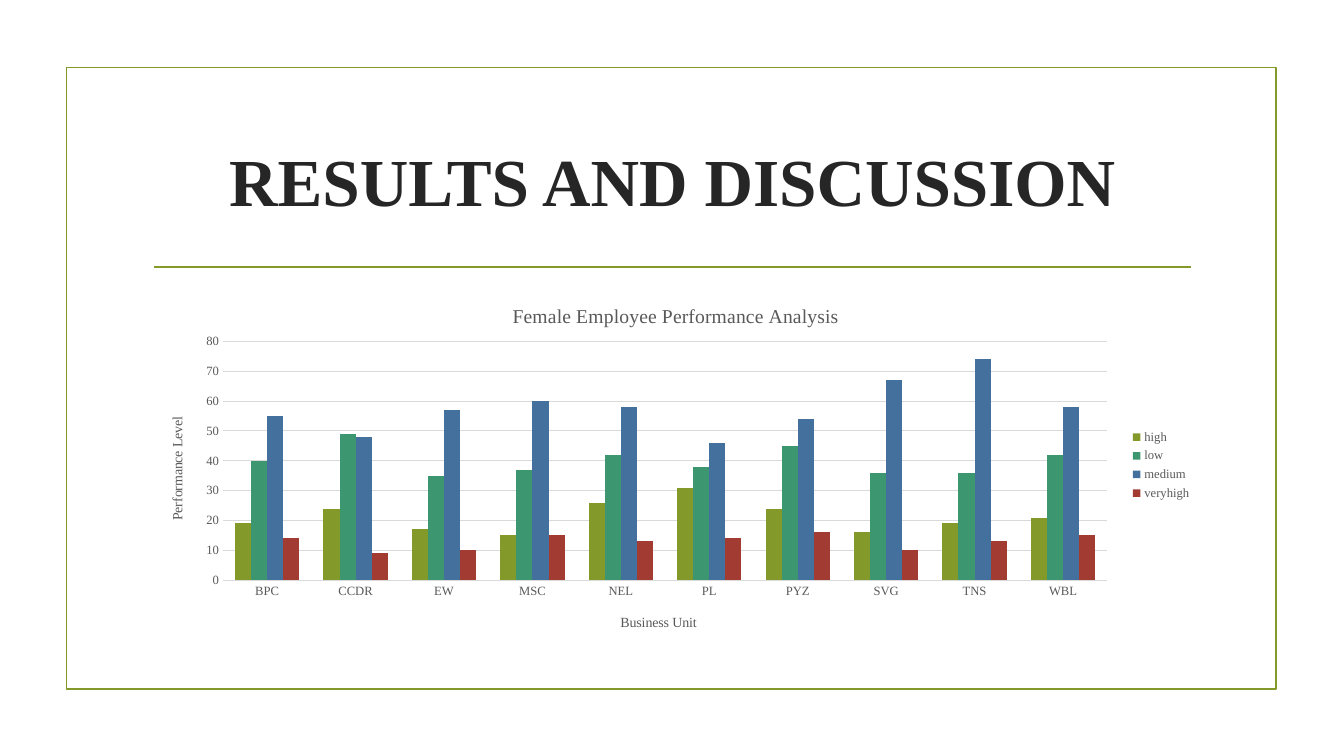
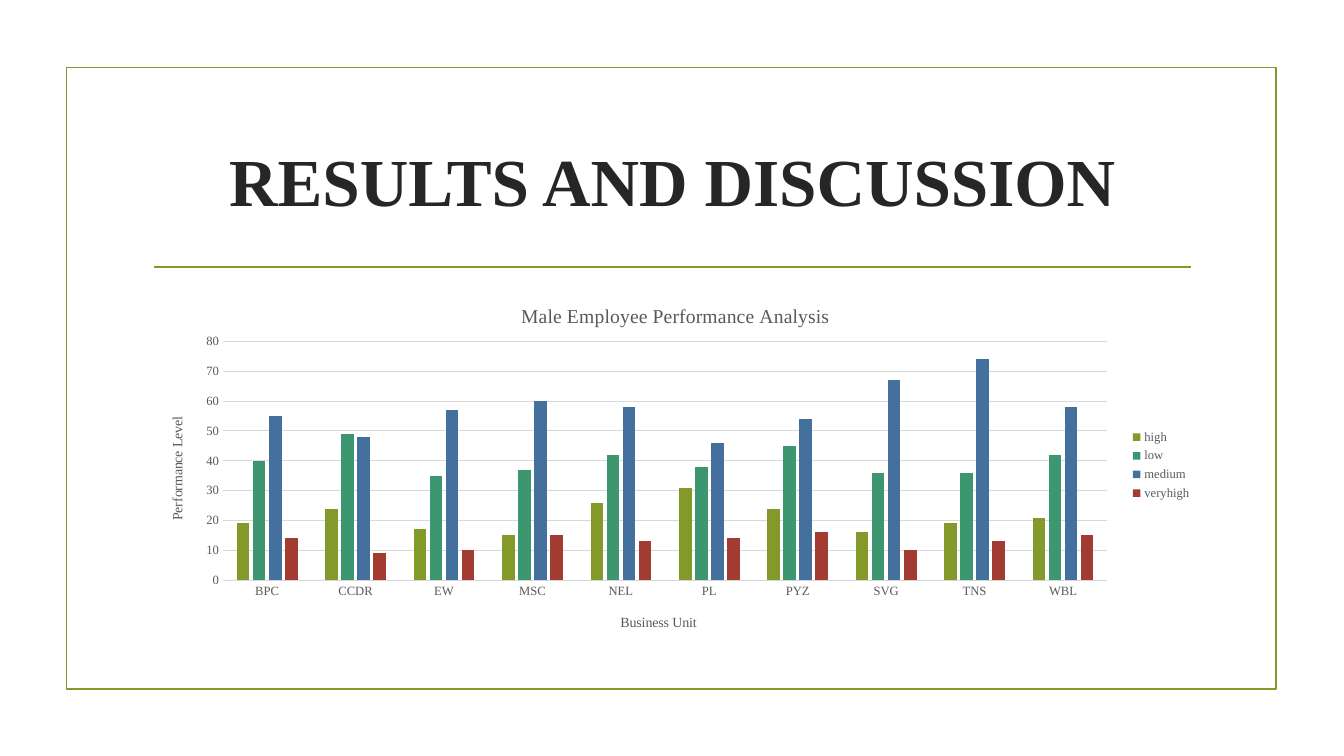
from lxml.etree import SubElement
from pptx import Presentation
from pptx.chart.data import CategoryChartData
from pptx.dml.color import RGBColor
from pptx.enum.chart import XL_CHART_TYPE, XL_LEGEND_POSITION, XL_TICK_MARK
from pptx.enum.shapes import MSO_CONNECTOR, MSO_SHAPE
from pptx.enum.text import MSO_ANCHOR, PP_ALIGN
from pptx.oxml.ns import qn
from pptx.util import Inches, Pt

WIDTH, HEIGHT = Inches(13.33), Inches(7.5)
FONT = "Times New Roman"
COLORS = {
    "accent": "83992A",
    "heading": "262626",
    "label": "595959",
    "grid": "D9D9D9",
    "high": "83992A",
    "low": "3C9770",
    "medium": "44709D",
    "veryhigh": "A23C33",
}

FRAME = (4.95, 8.93, 90, 82.27)
RULE = (11.48, 35.33, 88.6, 35.33)
HEADING = (10.65, 14.27, 78.77, 19.07)
CHART = (10.65, 37.33, 78.77, 48.4)
PLOT = (16.59, 45.17, 65.8, 31.6)
UNIT_TITLE = (45.98, 80.75)
LEVEL_TITLE = (12.31, 54.76)
CHART_TITLE_TOP = 39.6

UNITS = ["BPC", "CCDR", "EW", "MSC", "NEL", "PL", "PYZ", "SVG", "TNS", "WBL"]
PERFORMANCE = {
    "high": [19, 24, 17, 15, 26, 31, 24, 16, 19, 21],
    "low": [40, 49, 35, 37, 42, 38, 45, 36, 36, 42],
    "medium": [55, 48, 57, 60, 58, 46, 54, 67, 74, 58],
    "veryhigh": [14, 9, 10, 15, 13, 14, 16, 10, 13, 15],
}


def color(name):
    """Return the named palette colour."""
    return RGBColor.from_string(COLORS[name])


def share(left, top, right, bottom):
    """Turn percentages of the slide into lengths."""
    return [
        round(size * part / 100)
        for size, part in zip((WIDTH, HEIGHT) * 2, (left, top, right, bottom))
    ]


def style_font(font, size, tone="label", bold=False):
    """Apply the shared typeface with a size and colour."""
    font.name, font.size, font.bold = FONT, Pt(size), bold
    font.color.rgb = color(tone)


def style_line(line, tone, width):
    """Give a line its colour and width in points."""
    line.color.rgb = color(tone)
    line.width = Pt(width)


def add_frame(slide):
    """Draw the border and the rule under the heading."""
    border = slide.shapes.add_shape(MSO_SHAPE.RECTANGLE, *share(*FRAME))
    border.shadow.inherit = False
    border.fill.background()
    style_line(border.line, "accent", 1.25)
    rule = slide.shapes.add_connector(MSO_CONNECTOR.STRAIGHT, *share(*RULE))
    style_line(rule.line, "accent", 1.25)
    SubElement(rule._element.spPr, qn("a:effectLst"))


def add_heading(slide, text):
    """Write the centred slide heading."""
    frame = slide.shapes.add_textbox(*share(*HEADING)).text_frame
    frame.word_wrap = True
    frame.vertical_anchor = MSO_ANCHOR.MIDDLE
    frame.text = text
    heading = frame.paragraphs[0]
    heading.alignment = PP_ALIGN.CENTER
    style_font(heading.runs[0].font, 48, "heading", bold=True)


def set_layout(part, left, top, *size):
    """Pin a chart part at slide percentages, optionally with a size."""
    layout = part.find(qn("c:layout"))
    if layout is None:
        layout = SubElement(part, qn("c:layout"))
        part.insert(len(part.findall(qn("c:tx"))), layout)
    manual = SubElement(layout, qn("c:manualLayout"))
    settings = {"xMode": "edge", "yMode": "edge"}
    if size:
        settings = {"layoutTarget": "inner", **settings}
    places = (left - CHART[0], top - CHART[1], *size)
    for key, place, extent in zip("xywh", places, CHART[2:] * 2):
        settings[key] = f"{place / extent:.4f}"
    for key, value in settings.items():
        SubElement(manual, qn(f"c:{key}")).set("val", value)


def set_title(title, text, size, left, top):
    """Write a chart or axis title at its place."""
    title.text_frame.text = text
    style_font(title.text_frame.paragraphs[0].runs[0].font, size)
    set_layout(title._element, left, top)


def style_axis(axis, text, place):
    """Format an axis without ticks and give it a title."""
    axis.major_tick_mark = axis.minor_tick_mark = XL_TICK_MARK.NONE
    style_font(axis.tick_labels.font, 9)
    axis.format.line.fill.background()
    set_title(axis.axis_title, text, 10, *place)


def style_axes(chart):
    """Format both axes and the gridlines."""
    style_axis(chart.category_axis, "Business Unit", UNIT_TITLE)
    levels = chart.value_axis
    style_axis(levels, "Performance Level", LEVEL_TITLE)
    levels.minimum_scale, levels.maximum_scale, levels.major_unit = 0, 80, 10
    style_line(levels.major_gridlines.format.line, "grid", 0.75)
    body = levels.axis_title._element.find(".//" + qn("a:bodyPr"))
    body.set("rot", "-5400000")
    body.set("vert", "horz")


def add_performance_chart(slide, title, title_left, gap, overlap):
    """Add the clustered columns of performance by business unit."""
    data = CategoryChartData()
    data.categories = UNITS
    for level, counts in PERFORMANCE.items():
        data.add_series(level, counts)
    chart = slide.shapes.add_chart(
        XL_CHART_TYPE.COLUMN_CLUSTERED, *share(*CHART), data
    ).chart
    style_font(chart.font, 10)
    set_title(chart.chart_title, title, 14, title_left, CHART_TITLE_TOP)
    style_axes(chart)

    columns = chart.plots[0]
    columns.vary_by_categories = False
    columns.gap_width, columns.overlap = gap, overlap
    for series in columns.series:
        series.format.fill.solid()
        series.format.fill.fore_color.rgb = color(series.name)

    chart.has_legend = True
    chart.legend.position = XL_LEGEND_POSITION.RIGHT
    chart.legend.include_in_layout = False
    style_font(chart.legend.font, 9)
    set_layout(chart._chartSpace.find(".//" + qn("c:plotArea")), *PLOT)
    return chart


def add_results_slide(deck, title, title_left, gap, overlap=0):
    """Add one framed results slide and return its chart."""
    slide = deck.slides.add_slide(deck.slide_layouts[6])
    add_frame(slide)
    add_heading(slide, "RESULTS AND DISCUSSION")
    return add_performance_chart(slide, title, title_left, gap, overlap)


def main():
    """Build and save the deck."""
    deck = Presentation()
    deck.slide_width, deck.slide_height = WIDTH, HEIGHT
    add_results_slide(deck, "Female Employee Performance Analysis", 37.87, 150)
    male = add_results_slide(
        deck, "Male Employee Performance Analysis", 38.5, 219, -27
    )
    style_line(male.category_axis.format.line, "grid", 0.75)
    deck.save("out.pptx")


if __name__ == "__main__":
    main()
